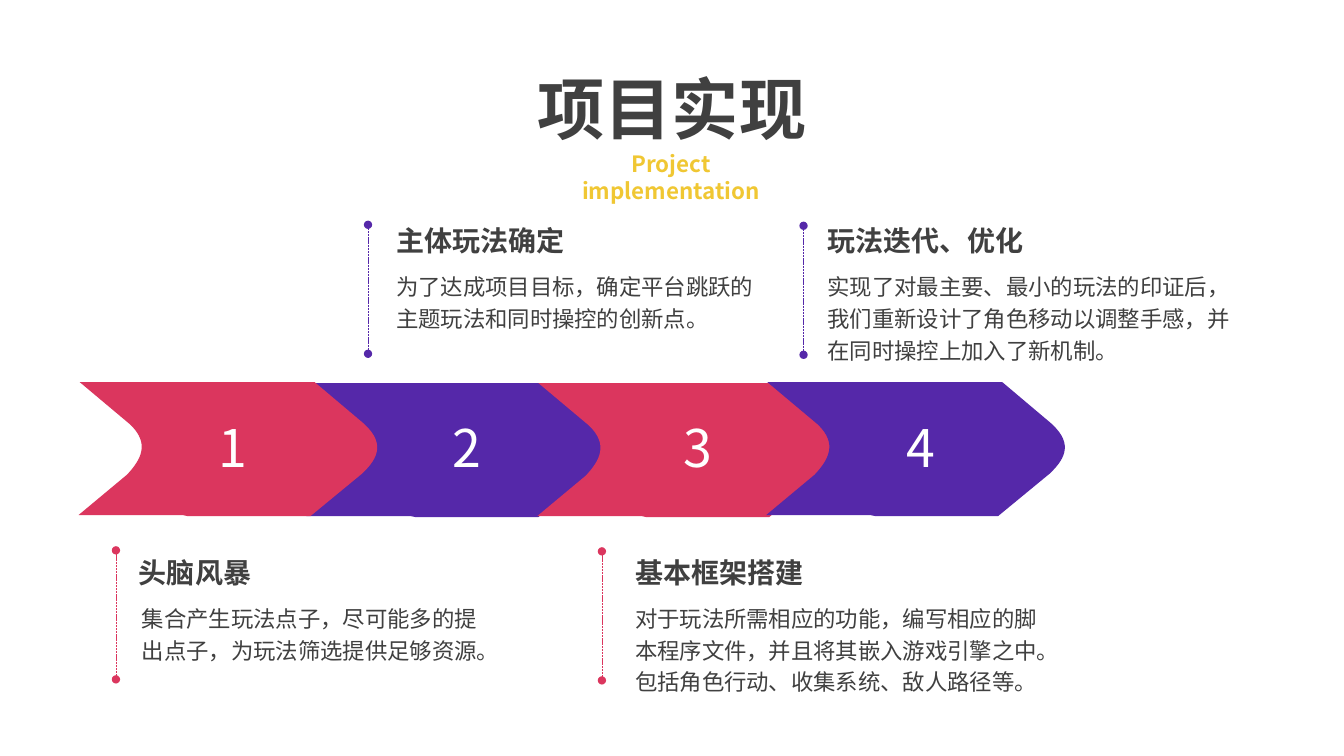
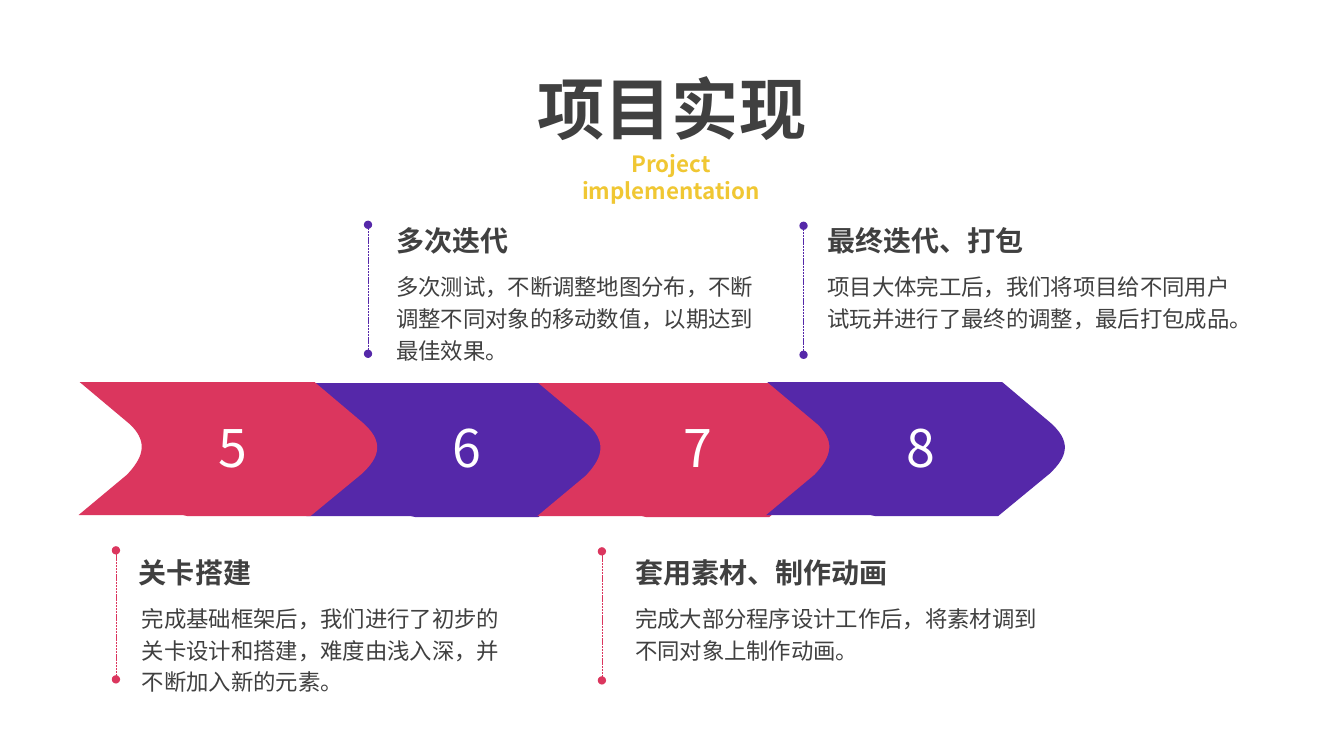
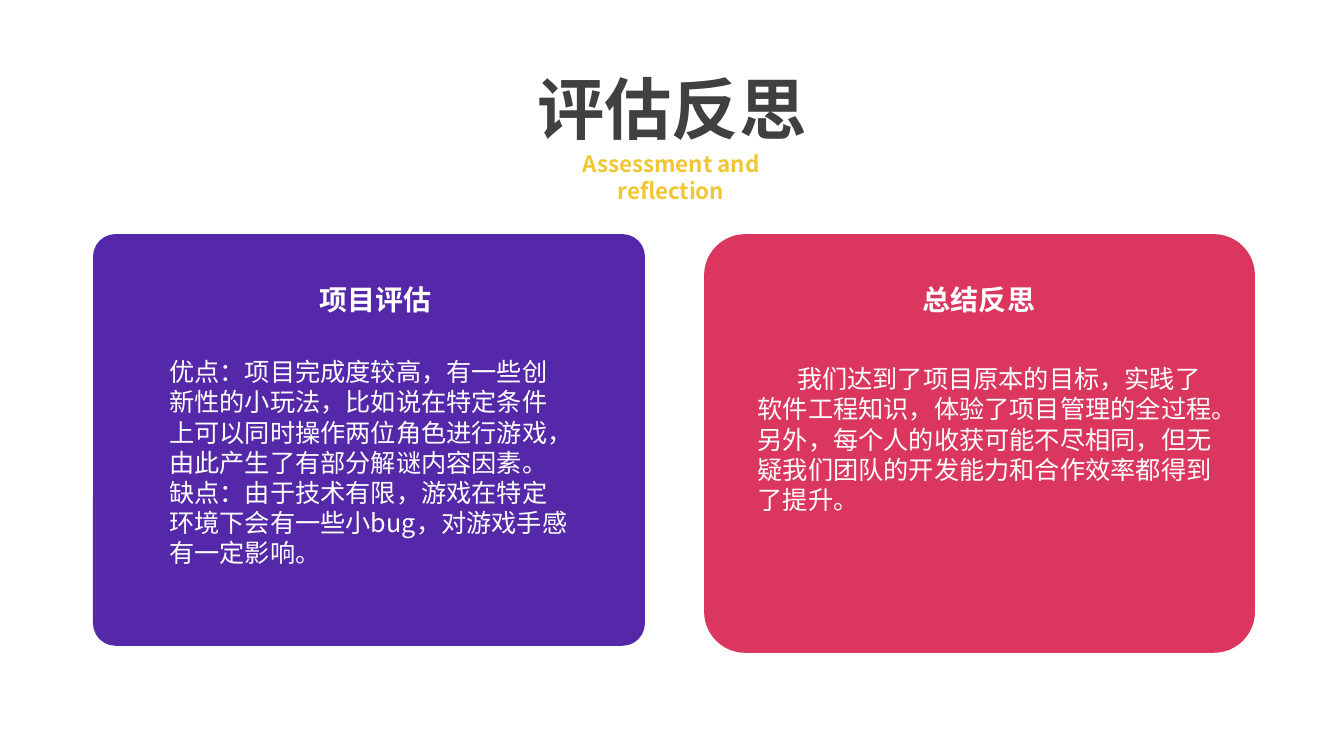
import pptx
import pptx.util
import pptx.dml.color
import pptx.enum.dml
import pptx.enum.shapes
import pptx.enum.text
import pptx.oxml.ns
from lxml import etree

Inches, Pt = pptx.util.Inches, pptx.util.Pt
RGB = pptx.dml.color.RGBColor
SHAPE = pptx.enum.shapes.MSO_SHAPE
ALIGN = pptx.enum.text.PP_ALIGN
ANCHOR = pptx.enum.text.MSO_ANCHOR
qn = pptx.oxml.ns.qn

PURPLE = RGB(0x55, 0x28, 0xA9)
RED = RGB(0xDB, 0x36, 0x5E)
YELLOW = RGB(0xF0, 0xC7, 0x33)
DARK = RGB(0x40, 0x40, 0x40)
WHITE = RGB(0xFF, 0xFF, 0xFF)
BODY_FONT = "Noto Sans CJK SC"
TITLE_FONT = "Noto Sans CJK JP"
LINE_HEIGHT = 1.2  # line pitch as a multiple of the text size

# Arrow outline from its corner: start, then lines (1 point) and curves (3 points)
ARROW_WIDTH = 2.97
ARROW_START = (0.01, 0)
ARROW_STEPS = [
    [(2.34, 0)], [(2.79, 0.38)],
    [(3.05, 0.59), (2.98, 0.75), (2.81, 0.91)],
    [(2.3, 1.33)], [(1.08, 1.33)],
    [(1.06, 1.32), (1.05, 1.32), (1.03, 1.32)],
    [(0, 1.32)], [(0.48, 0.92)],
    [(0.62, 0.77), (0.71, 0.61), (0.51, 0.42)],
]

# Position of each stage: arrow, number, pin, heading and body, in inches
STAGES = [
    dict(color=RED, arrow=(0.78, 3.79), number=2.07, pin=(1.15, 5.46), head=(1.28, 5.46), body=1.31),
    dict(color=PURPLE, arrow=(3.04, 3.8), number=4.39, pin=(3.65, 2.23), head=(3.83, 2.17), body=3.83),
    dict(color=RED, arrow=(5.33, 3.8), number=6.68, pin=(5.97, 5.47), head=(6.2, 5.46), body=6.2),
    dict(color=PURPLE, arrow=(7.6, 3.79), number=8.89, pin=(7.97, 2.24), head=(8.11, 2.17), body=8.11),
]
DRAW_ORDER = (1, 0, 2, 3)

# Heading, text and text width of each stage
FIRST_STAGES = [
    ("头脑风暴", "集合产生玩法点子，尽可能多的提出点子，为玩法筛选提供足够资源。", 3.65),
    ("主体玩法确定", "为了达成项目目标，确定平台跳跃的主题玩法和同时操控的创新点。", 3.79),
    ("基本框架搭建", "对于玩法所需相应的功能，编写相应的脚本程序文件，并且将其嵌入游戏引擎之中。"
                "包括角色行动、收集系统、敌人路径等。", 4.39),
    ("玩法迭代、优化", "实现了对最主要、最小的玩法的印证后，我们重新设计了角色移动以调整手感，"
                 "并在同时操控上加入了新机制。", 4.38),
]
LAST_STAGES = [
    ("关卡搭建", "完成基础框架后，我们进行了初步的关卡设计和搭建，难度由浅入深，并不断加入新的元素。", 3.87),
    ("多次迭代", "多次测试，不断调整地图分布，不断调整不同对象的移动数值，以期达到最佳效果。", 3.79),
    ("套用素材、制作动画", "完成大部分程序设计工作后，将素材调到不同对象上制作动画。", 4.39),
    ("最终迭代、打包", "项目大体完工后，我们将项目给不同用户试玩并进行了最终的调整，最后打包成品。", 4.38),
]


def write(tf, text, size, color=DARK, bold=False, font=BODY_FONT,
          align=ALIGN.LEFT, spacing=1.0, indent=0):
    """Fill a text frame, one paragraph a line of text."""
    tf.word_wrap = True
    for i, line in enumerate(text.split("\n")):
        p = tf.add_paragraph() if i else tf.paragraphs[0]
        p.alignment = align
        p.line_spacing = Pt(round(size * LINE_HEIGHT * spacing, 1))
        if indent:
            p._p.get_or_add_pPr().set("indent", str(Inches(indent)))
        r = p.add_run()
        r.text = line
        r.font.size, r.font.bold, r.font.name = Pt(size), bold, font
        r.font.color.rgb = color
        ea = etree.SubElement(r._r.get_or_add_rPr(), qn("a:ea"))
        ea.set("typeface", font)


def add_text(s, x, y, w, h, text, size, **fmt):
    tf = s.shapes.add_textbox(Inches(x), Inches(y), Inches(w), Inches(h)).text_frame
    tf.auto_size = pptx.enum.text.MSO_AUTO_SIZE.SHAPE_TO_FIT_TEXT
    write(tf, text, size, **fmt)


def add_round(s, x, y, w, h, color=None, radius=None):
    sp = s.shapes.add_shape(SHAPE.ROUNDED_RECTANGLE, Inches(x), Inches(y), Inches(w), Inches(h))
    sp.shadow.inherit = False
    if color is None:
        sp.fill.background()
        sp.line.fill.background()
    else:
        sp.fill.solid()
        sp.fill.fore_color.rgb = color
        sp.line.color.rgb = color
        sp.line.width = Pt(1)
    if radius is not None:
        sp.adjustments[0] = radius
    return sp


def add_title(s, title, subtitle):
    add_text(s, 4.9, 0.54, 3.53, 0.99, title, 48, bold=True, font=TITLE_FONT,
             align=ALIGN.CENTER, spacing=1.1)
    add_text(s, 5.33, 1.44, 2.65, 0.37, subtitle, 16, color=YELLOW, bold=True,
             font=TITLE_FONT, align=ALIGN.CENTER)


def add_arrow(s, x, y, color):
    """Arrow with a rounded tip and a matching notch."""
    def place(point):
        return Inches(x + point[0]), Inches(y + point[1])

    builder = s.shapes.build_freeform(*place(ARROW_START))
    builder.add_line_segments([place(pt) for step in ARROW_STEPS for pt in step], close=True)
    sp = builder.convert_to_shape()
    # Join the three points of each curve into one segment
    outline = next(sp._element.iter(qn("a:path")))
    segments = iter(outline.findall(qn("a:lnTo")))
    for step in ARROW_STEPS:
        parts = [next(segments) for _ in step]
        if len(parts) == 3:
            curve = etree.Element(qn("a:cubicBezTo"))
            outline.replace(parts[0], curve)
            for part in parts:
                curve.append(part[0])
            for part in parts[1:]:
                outline.remove(part)
    # The box ends at the curve, not at its control points
    sp.width = Inches(ARROW_WIDTH)
    outline.set("w", str(sp.width))
    sp.shadow.inherit = False
    sp.fill.solid()
    sp.fill.fore_color.rgb = color
    sp.line.fill.background()


def add_pin(s, x, y, color):
    """Dotted upright line with a dot at each end."""
    line = s.shapes.add_connector(pptx.enum.shapes.MSO_CONNECTOR.STRAIGHT,
                                  Inches(x), Inches(y + 1.28), Inches(x), Inches(y))
    line.line.color.rgb = color
    line.line.width = Pt(0.5)
    line.line.dash_style = pptx.enum.dml.MSO_LINE.SQUARE_DOT
    ln = line.line._get_or_add_ln()
    for end in ("a:headEnd", "a:tailEnd"):
        etree.SubElement(ln, qn(end)).set("type", "oval")
    etree.SubElement(line._element.spPr, qn("a:effectLst"))


def add_stage_text(s, stage, heading, text, width):
    x, y = stage["head"]
    add_pin(s, *stage["pin"], stage["color"])
    add_text(s, x, y, 3.63 if len(heading) > 7 else 2.37, 0.44, heading, 20, bold=True)
    add_text(s, stage["body"], y + 0.44, width, 0.75, text, 16, spacing=1.19)


def process_slide(s, first_number, contents):
    add_title(s, "项目实现", "Project implementation")
    for i in DRAW_ORDER:
        add_arrow(s, *STAGES[i]["arrow"], STAGES[i]["color"])
    for i, (stage, content) in enumerate(zip(STAGES, contents)):
        add_text(s, stage["number"], 4.07, 1.41, 0.72, str(first_number + i), 37, color=WHITE)
        add_stage_text(s, stage, *content)


def add_card(s, box, color, radius, heading, heading_box, text, text_box, indent=0):
    """Coloured card; heading and text boxes are measured from its corner."""
    x, y = box[:2]
    add_round(s, *box, color=color, radius=radius)
    for (dx, dy, w, h), content, size, fmt in (
            (heading_box, heading, 20, dict(bold=True, align=ALIGN.CENTER)),
            (text_box, text, 18, dict(indent=indent))):
        tf = add_round(s, x + dx, y + dy, w, h).text_frame
        tf.vertical_anchor = ANCHOR.MIDDLE
        write(tf, content, size, color=WHITE, **fmt)


def review_slide(s):
    add_title(s, "评估反思", "Assessment and reflection")
    add_card(s, (6.99, 2.33, 5.45, 4.14), RED, 0.097,
             "总结反思", (0.2, 0.4, 5.04, 0.48),
             "我们达到了项目原本的目标，实践了软件工程知识，体验了项目管理的全过程。"
             "另外，每个人的收获可能不尽相同，但无疑我们团队的开发能力和合作效率都得到了提升。",
             (0.34, 1.13, 4.9, 1.79), indent=0.39)
    add_card(s, (0.93, 2.33, 5.46, 4.07), PURPLE, 0.053,
             "项目评估", (0.53, 0.42, 4.53, 0.44),
             "优点：项目完成度较高，有一些创新性的小玩法，比如说在特定条件上可以同时操作两位角色进行游戏，"
             "由此产生了有部分解谜内容因素。\n"
             "缺点：由于技术有限，游戏在特定环境下会有一些小bug，对游戏手感有一定影响。",
             (0.53, 1.01, 4.4, 2.49))


def main():
    prs = pptx.Presentation()
    prs.slide_width, prs.slide_height = Inches(13.33), Inches(7.5)
    slides = [prs.slides.add_slide(prs.slide_layouts[6]) for _ in range(3)]
    process_slide(slides[0], 1, FIRST_STAGES)
    process_slide(slides[1], 5, LAST_STAGES)
    review_slide(slides[2])
    prs.save("out.pptx")


if __name__ == "__main__":
    main()
